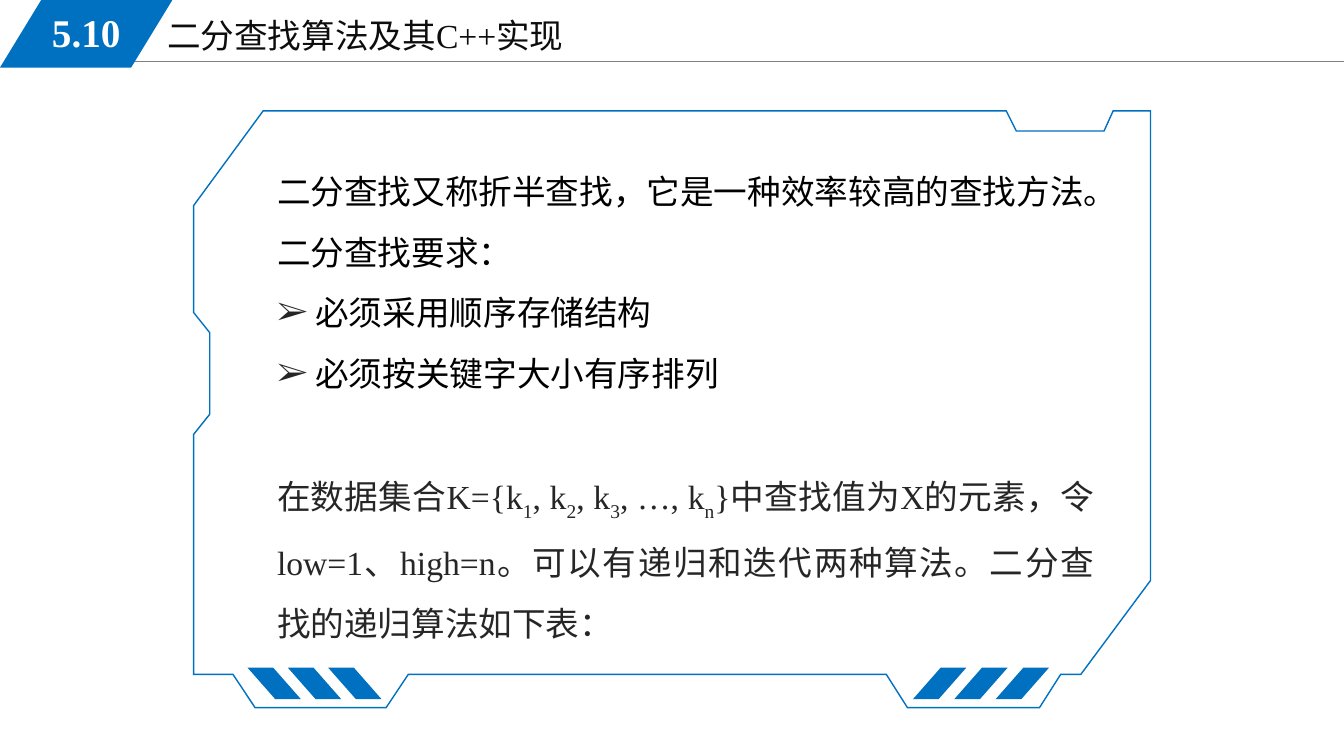
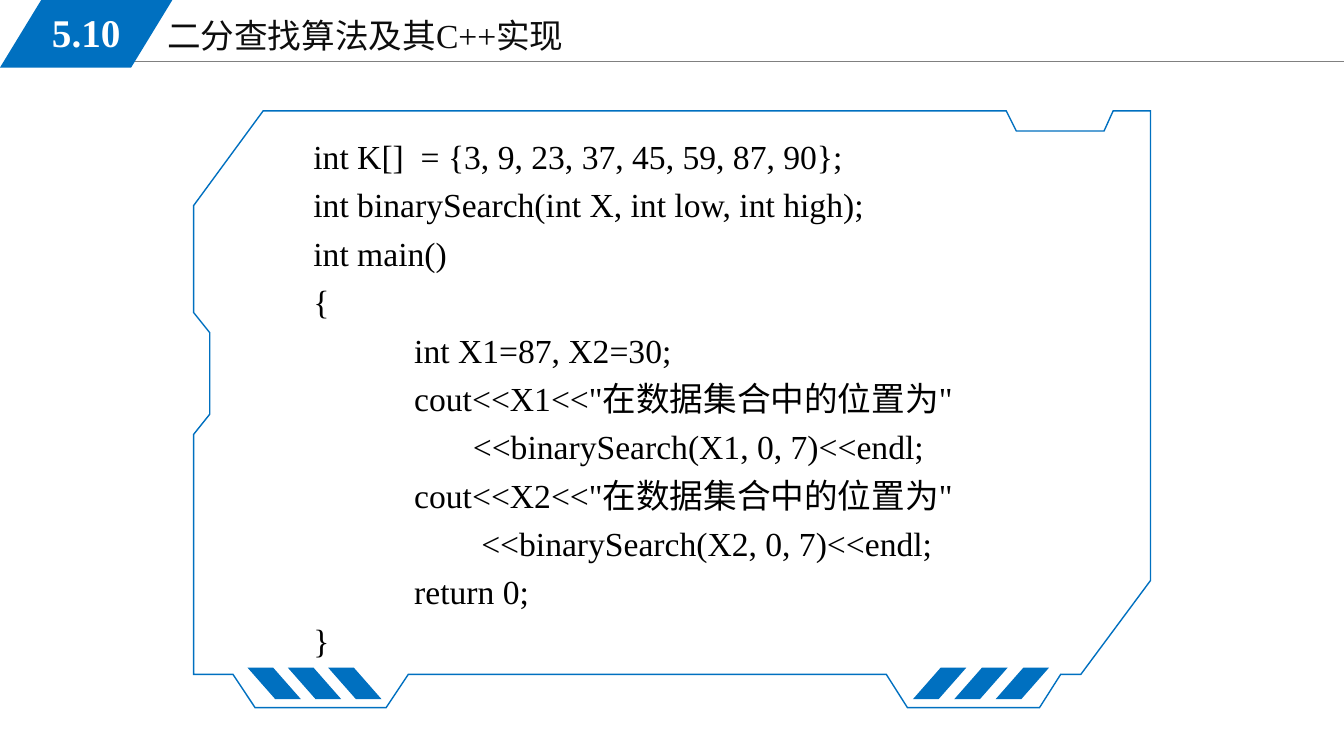
from lxml.etree import SubElement
from pptx import Presentation
from pptx.dml.color import RGBColor
from pptx.enum.shapes import MSO_CONNECTOR, MSO_SHAPE
from pptx.enum.text import MSO_ANCHOR, MSO_AUTO_SIZE, PP_ALIGN
from pptx.oxml.ns import qn
from pptx.util import Inches, Pt

# Shared look
WIDTH, HEIGHT = 13.33, 7.5
FONT = "Times New Roman"
BLUE, GREY, WHITE, BLACK = "0070C0", "808080", "FFFFFF", "000000"
TITLE_COLOR, SOFT_BLACK = "0D0D0D", "262626"
BODY_SIZE = 24

SECTION_NUMBER = "5.10"
SECTION_TITLE = "二分查找算法及其C++实现"

# Panel outline, clockwise from the top left corner
PANEL_OUTLINE = [
    (2.61, 1.1), (9.98, 1.1), (10.08, 1.3), (10.95, 1.3), (11.04, 1.1),
    (11.41, 1.1), (11.41, 5.76), (10.72, 6.69), (10.52, 6.69), (10.31, 7.02),
    (9.0, 7.02), (8.79, 6.69), (4.05, 6.69), (3.83, 7.02), (2.53, 7.02),
    (2.31, 6.69), (1.92, 6.69), (1.92, 4.31), (2.08, 4.11), (2.08, 3.3),
    (1.92, 3.1), (1.92, 2.04),
]
STRIPE_TOP, STRIPE_WIDTH, STRIPE_HEIGHT = 6.63, 0.5, 0.3
STRIPE_GROUPS = [(2.47, 0.4, True), (9.07, 0.41, False)]  # left, step, mirrored

# Slide text
INTRODUCTION = ["二分查找又称折半查找，它是一种效率较高的查找方法。", "二分查找要求："]
REQUIREMENTS = ["必须采用顺序存储结构", "必须按关键字大小有序排列"]
# Odd-numbered pieces are subscripts
DATA_SET = [
    "在数据集合K={k", "1", ", k", "2", ", k", "3", ", …, k", "n",
    "}中查找值为X的元素，令low=1、high=n。可以有递归和迭代两种算法。二分查找的递归算法如下表：",
]
CODE = [
    "int K[]  = {3, 9, 23, 37, 45, 59, 87, 90};",
    "int binarySearch(int X, int low, int high);",
    "int main()",
    "{",
    "\tint X1=87, X2=30;",
    '\tcout<<X1<<"在数据集合中的位置为"',
    "                   <<binarySearch(X1, 0, 7)<<endl;",
    '\tcout<<X2<<"在数据集合中的位置为"',
    "                    <<binarySearch(X2, 0, 7)<<endl;",
    "\treturn 0;",
    "}",
]


def color(value):
    return RGBColor.from_string(value)


def set_font(paragraph, size=BODY_SIZE, value=BLACK, bold=False):
    font = paragraph.font
    font.name, font.size, font.bold = FONT, Pt(size), bold
    font.color.rgb = color(value)


def add_text_frame(slide, left, top, width, height):
    box = slide.shapes.add_textbox(*map(Inches, (left, top, width, height)))
    frame = box.text_frame
    frame.word_wrap = True
    frame.auto_size = MSO_AUTO_SIZE.SHAPE_TO_FIT_TEXT
    return frame


def add_paragraph(frame, pieces, spacing):
    """Fill the first paragraph if it is empty, else append one."""
    paragraph = frame.paragraphs[0]
    if paragraph.runs:
        paragraph = frame.add_paragraph()
    paragraph.line_spacing = spacing
    for index, piece in enumerate(pieces):
        run = paragraph.add_run()
        run.text = piece
        if index % 2:
            run.font._element.set("baseline", "-25000")
    return paragraph


def add_bullet(paragraph):
    properties = paragraph._p.get_or_add_pPr()
    indent = Inches(0.38)
    properties.set("marL", str(indent))
    properties.set("indent", str(-indent))
    bullet_color = SubElement(properties, qn("a:buClr"))
    SubElement(bullet_color, qn("a:srgbClr"), val=SOFT_BLACK)
    SubElement(properties, qn("a:buFont"), typeface=FONT)
    SubElement(properties, qn("a:buChar"), char="➢")


def add_tab_stop(paragraph, position):
    stops = SubElement(paragraph._p.get_or_add_pPr(), qn("a:tabLst"))
    SubElement(stops, qn("a:tab"), pos=str(Inches(position)), algn="l")


def add_parallelogram(slide, left, top, width, height, slant, mirrored=False):
    shape = slide.shapes.add_shape(
        MSO_SHAPE.PARALLELOGRAM, *map(Inches, (left, top, width, height)))
    shape.adjustments[0] = slant
    shape.shadow.inherit = False
    shape.fill.solid()
    shape.fill.fore_color.rgb = color(BLUE)
    if mirrored:
        shape._element.spPr.get_or_add_xfrm().set("flipH", "1")
    return shape


def outline_blue(shape):
    shape.line.color.rgb = color(BLUE)
    shape.line.width = Pt(1)
    SubElement(shape.line._get_or_add_ln(), qn("a:miter"), lim="800000")


def add_header(slide):
    rule = slide.shapes.add_connector(
        MSO_CONNECTOR.STRAIGHT, *map(Inches, (1.13, 0.61, WIDTH, 0.61)))
    rule.line.color.rgb = color(GREY)
    rule.line.width = Pt(0.75)
    SubElement(rule._element.spPr, qn("a:effectLst"))

    title = add_text_frame(slide, 1.56, 0.1, 5.67, 0.51)
    set_font(add_paragraph(title, [SECTION_TITLE], 1.0), value=TITLE_COLOR)

    add_parallelogram(slide, 0, 0, 1.71, 0.67, 0.61).line.fill.background()
    number = add_text_frame(slide, 0.25, 0.03, 1.21, 0.58)
    number.vertical_anchor = MSO_ANCHOR.MIDDLE
    paragraph = add_paragraph(number, [SECTION_NUMBER], 1.0)
    paragraph.alignment = PP_ALIGN.CENTER
    set_font(paragraph, 28, WHITE, bold=True)


def add_panel(slide):
    start, *others = [(Inches(x), Inches(y)) for x, y in PANEL_OUTLINE]
    builder = slide.shapes.build_freeform(*start)
    builder.add_line_segments(others, close=True)
    panel = builder.convert_to_shape()
    panel.shadow.inherit = False
    panel.fill.background()
    outline_blue(panel)
    for left, step, mirrored in STRIPE_GROUPS:
        for index in range(3):
            outline_blue(add_parallelogram(
                slide, left + index * step, STRIPE_TOP,
                STRIPE_WIDTH, STRIPE_HEIGHT, 0.88, mirrored))


def add_section_slide(presentation):
    slide = presentation.slides.add_slide(presentation.slide_layouts[6])
    add_header(slide)
    add_panel(slide)
    return slide


def main():
    presentation = Presentation()
    presentation.slide_width = Inches(WIDTH)
    presentation.slide_height = Inches(HEIGHT)

    # Idea and requirements
    slide = add_section_slide(presentation)
    frame = add_text_frame(slide, 2.65, 1.45, 8.3, 4.95)
    for text in INTRODUCTION:
        set_font(add_paragraph(frame, [text], 1.5))
    for text in REQUIREMENTS:
        paragraph = add_paragraph(frame, [text], 1.5)
        add_bullet(paragraph)
        set_font(paragraph)
    paragraph = add_paragraph(frame, DATA_SET, 1.5)
    paragraph.alignment = PP_ALIGN.JUSTIFY
    paragraph.space_before = Pt(43)
    set_font(paragraph, value=SOFT_BLACK)

    # Calling program
    slide = add_section_slide(presentation)
    frame = add_text_frame(slide, 3.01, 1.22, 8.11, 5.43)
    for line in CODE:
        paragraph = add_paragraph(frame, [line], 1.2)
        add_tab_stop(paragraph, 1)
        set_font(paragraph)

    presentation.save("out.pptx")


if __name__ == "__main__":
    main()
